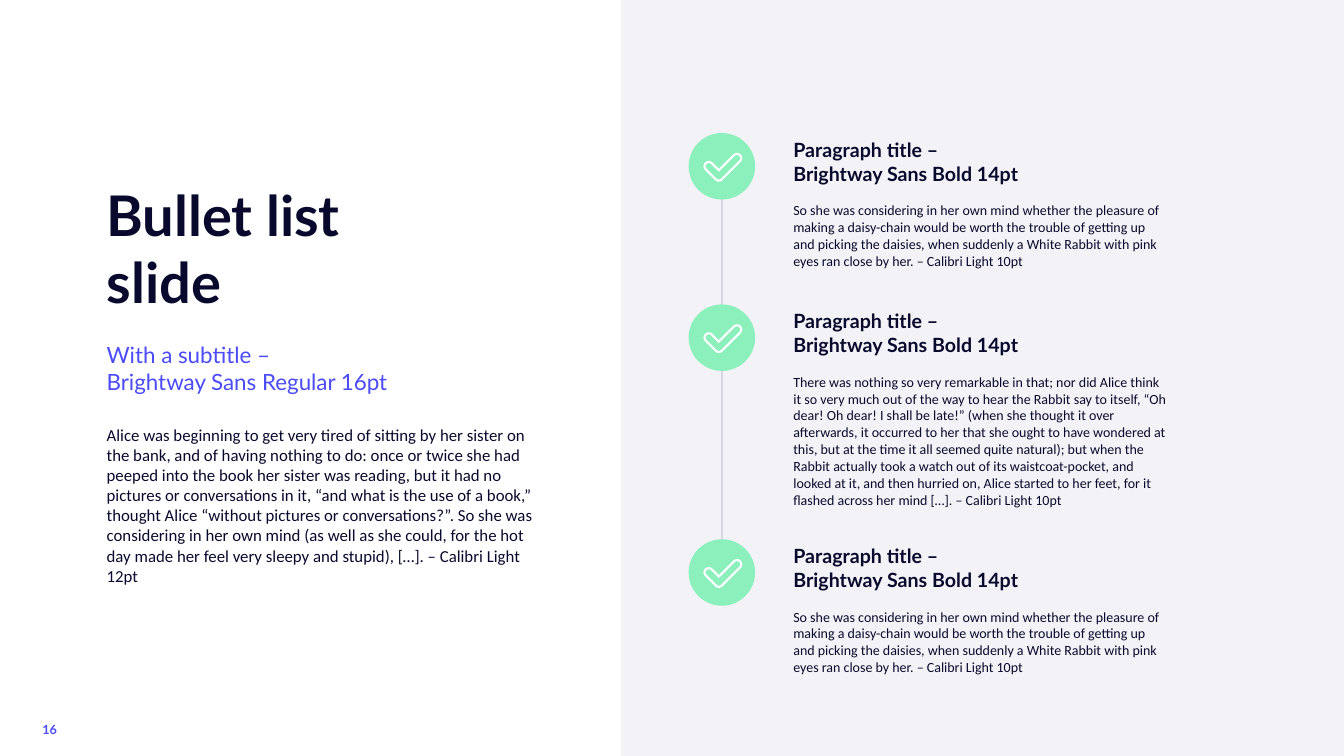
from dataclasses import dataclass
from math import cos, radians, sin

from pptx import Presentation
from pptx import util as u
from pptx.dml.color import RGBColor
from pptx.enum import shapes, text
from pptx.oxml import parse_xml
from pptx.oxml.ns import nsdecls
from pptx.slide import Slide


@dataclass(frozen=True)
class Theme:
    ink: str = "09092D"
    accent: str = "4B4BF9"
    panel: str = "F3F3F7"
    rail: str = "D6D6E3"
    mint: str = "8BF0BB"
    white: str = "FFFFFF"
    heading_font: str = "Lato"
    body_font: str = "Calibri"
    title: int = 40
    subtitle: int = 16
    item_title: int = 14
    intro: int = 12
    item_body: int = 10
    number: int = 9


@dataclass(frozen=True)
class Para:
    text: str
    size: int
    font: str
    color: str
    bold: bool = False
    before: float = 0
    spacing: float = 1.0


@dataclass(frozen=True)
class Item:
    top: float
    height: float
    body: str


T = Theme()
BADGE_LEFT, BADGE_SIZE = 6.83, 0.66
UNITS_PER_INCH = 10000  # freeform points are rounded to whole units
ITEM_TITLE = "Paragraph title – \nBrightway Sans Bold 14pt"
INTRO = (
    "Alice was beginning to get very tired of sitting by her sister on the bank, and of "
    "having nothing to do: once or twice she had peeped into the book her sister was "
    "reading, but it had no pictures or conversations in it, “and what is the use of a "
    "book,” thought Alice “without pictures or conversations?”. So she was considering in "
    "her own mind (as well as she could, for the hot day made her feel very sleepy and "
    "stupid), […]. – Calibri Light 12pt"
)
DAISIES = (
    "So she was considering in her own mind whether the pleasure of making a daisy-chain "
    "would be worth the trouble of getting up and picking the daisies, when suddenly a "
    "White Rabbit with pink eyes ran close by her. – Calibri Light 10pt"
)
RABBIT = (
    "There was nothing so very remarkable in that; nor did Alice think it so very much out "
    "of the way to hear the Rabbit say to itself, “Oh dear! Oh dear! I shall be late!” "
    "(when she thought it over afterwards, it occurred to her that she ought to have "
    "wondered at this, but at the time it all seemed quite natural); but when the Rabbit "
    "actually took a watch out of its waistcoat-pocket, and looked at it, and then hurried "
    "on, Alice started to her feet, for it flashed across her mind […]. – Calibri Light 10pt"
)
ITEMS = [Item(1.32, 1.41, DAISIES), Item(3.02, 2.09, RABBIT), Item(5.35, 1.41, DAISIES)]


def rgb(color: str) -> RGBColor:
    return RGBColor.from_string(color)


def add_text(s: Slide, left: float, top: float, width: float, height: float,
             paras: list[Para], inset: float = 0.1) -> None:
    """Add a top-anchored text box; a newline in a paragraph is a line break."""
    tf = s.shapes.add_textbox(*map(u.Inches, (left, top, width, height))).text_frame
    tf.word_wrap = True
    tf.vertical_anchor = text.MSO_ANCHOR.TOP
    tf.margin_left = tf.margin_right = u.Inches(inset)
    tf.margin_top = tf.margin_bottom = u.Inches(0.05)
    for i, para in enumerate(paras):
        p = tf.add_paragraph() if i else tf.paragraphs[0]
        p.line_spacing = para.spacing
        if para.before:
            p.space_before = u.Pt(para.before)
        for j, line in enumerate(para.text.split("\n")):
            if j:
                p.add_line_break()
            r = p.add_run()
            r.text = line
            r.font.name, r.font.size, r.font.bold = para.font, u.Pt(para.size), para.bold
            r.font.color.rgb = rgb(para.color)


def add_filled(s: Slide, kind: shapes.MSO_SHAPE, left: float, top: float,
               width: float, height: float, color: str) -> None:
    sp = s.shapes.add_shape(kind, *map(u.Inches, (left, top, width, height)))
    sp.shadow.inherit = False
    sp.fill.solid()
    sp.fill.fore_color.rgb = rgb(color)
    sp.line.fill.background()


def add_rail(s: Slide, x: float, top: float, bottom: float) -> None:
    line = s.shapes.add_connector(shapes.MSO_CONNECTOR.STRAIGHT,
                                  *map(u.Inches, (x, top, x, bottom)))
    line.line.color.rgb = rgb(T.rail)
    line.line.width = u.Pt(1)
    line._element.spPr.append(parse_xml(f"<a:effectLst {nsdecls('a')}/>"))


def arc(x: float, y: float, radius: float, start: int, end: int) -> list[tuple[float, float]]:
    """Points on a circle, clockwise, one every 15 degrees."""
    return [(x + radius * cos(radians(a)), y + radius * sin(radians(a)))
            for a in range(start, end + 1, 15)]


def check_contour(left: float, top: float, radius: float) -> list[tuple[float, float]]:
    """Round-ended check mark of half-width radius, in freeform units."""
    points = (arc(left + 0.3, top + 0.43, radius, 45, 135)
              + arc(left + 0.2, top + 0.33, radius, 135, 315)
              + [(left + 0.3, top + 0.43 - radius * 2 ** 0.5)]
              + arc(left + 0.48, top + 0.25, radius, 225, 405))
    return [(x * UNITS_PER_INCH, y * UNITS_PER_INCH) for x, y in points]


def add_check(s: Slide, left: float, top: float) -> None:
    """Draw a hollow check mark: an outer contour with an inner one cut out."""
    outer = check_contour(left, top, 0.053)
    inner = check_contour(left, top, 0.032)[::-1]
    builder = s.shapes.build_freeform(*outer[0], scale=u.Inches(1) / UNITS_PER_INCH)
    builder.add_line_segments(outer[1:], close=True)
    builder.move_to(*inner[0])
    builder.add_line_segments(inner[1:], close=True)
    sp = builder.convert_to_shape()
    sp.shadow.inherit = False
    sp.fill.solid()
    sp.fill.fore_color.rgb = rgb(T.white)
    sp.line.fill.background()


def add_item(s: Slide, item: Item) -> None:
    add_filled(s, shapes.MSO_SHAPE.OVAL, BADGE_LEFT, item.top, BADGE_SIZE, BADGE_SIZE, T.mint)
    add_check(s, BADGE_LEFT, item.top)
    add_text(s, 7.77, item.top, 3.91, item.height, [
        Para(ITEM_TITLE, T.item_title, T.heading_font, T.ink, bold=True),
        Para(item.body, T.item_body, T.body_font, T.ink, before=12),
    ])


def main() -> None:
    prs = Presentation()
    prs.slide_width, prs.slide_height = u.Inches(13.33), u.Inches(7.5)
    s = prs.slides.add_slide(prs.slide_layouts[6])

    add_text(s, 0.37, 7.13, 0.4, 0.24, [
        Para("16", T.number, T.heading_font, T.accent, bold=True, spacing=0.9)], inset=0.05)
    add_text(s, 0.96, 1.74, 4.61, 2.26, [
        Para("Bullet list \nslide", T.title, T.heading_font, T.ink, bold=True),
        Para("With a subtitle – \nBrightway Sans Regular 16pt", T.subtitle,
             T.heading_font, T.accent, before=19),
    ])
    add_text(s, 0.96, 4.16, 4.61, 1.51, [Para(INTRO, T.intro, T.body_font, T.ink)])

    add_filled(s, shapes.MSO_SHAPE.RECTANGLE, 6.16, 0, 7.17, 7.5, T.panel)
    add_rail(s, BADGE_LEFT + BADGE_SIZE / 2, 1.88, 5.71)
    for item in ITEMS:
        add_item(s, item)
    prs.save("out.pptx")


if __name__ == "__main__":
    main()
